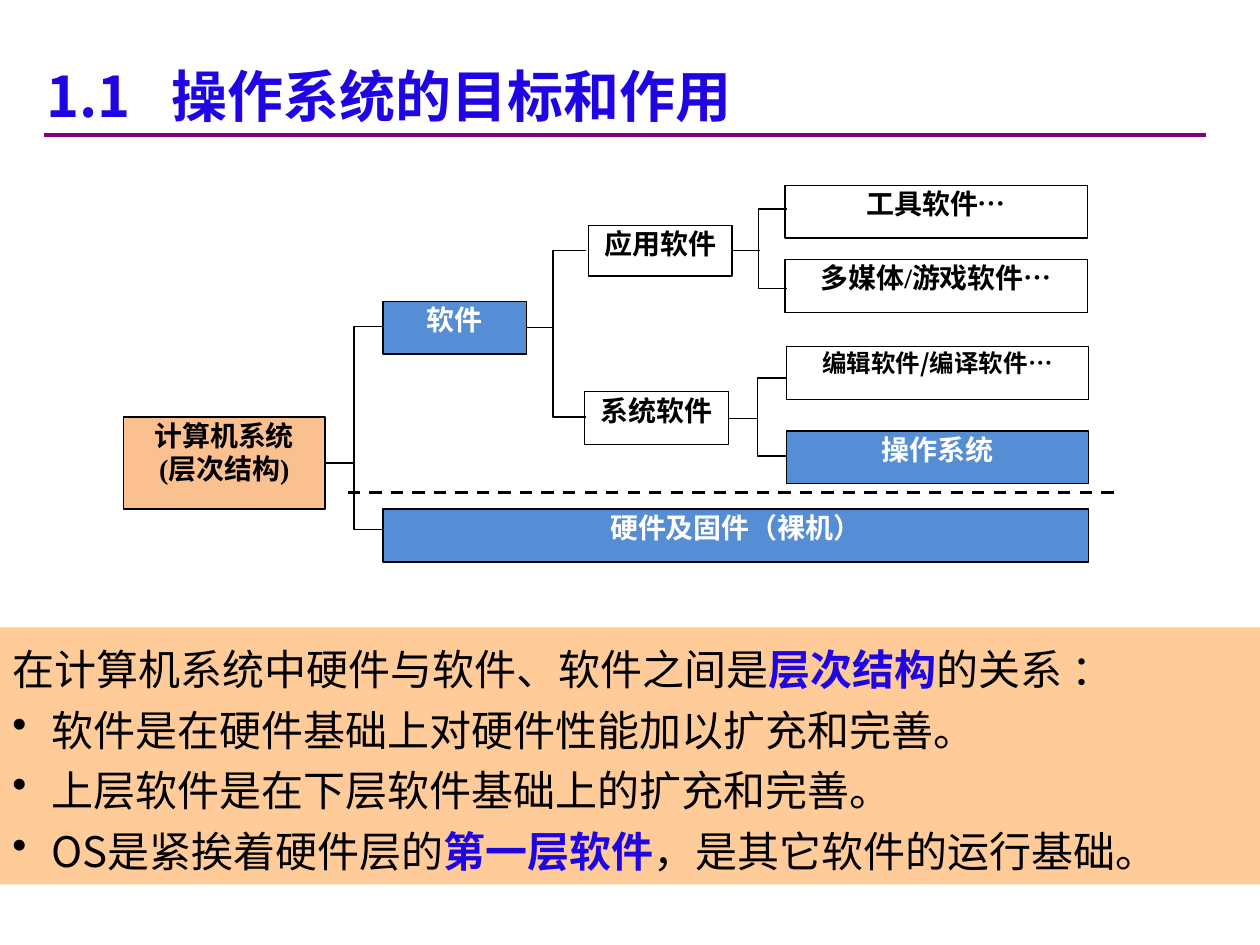
from pptx import Presentation
from pptx.dml.color import RGBColor
from pptx.enum.dml import MSO_LINE
from pptx.enum.shapes import MSO_CONNECTOR, MSO_SHAPE
from pptx.enum.text import MSO_ANCHOR, PP_ALIGN
from pptx.oxml.ns import qn
from pptx.util import Inches, Pt
from lxml import etree

RECTANGLE = MSO_SHAPE.RECTANGLE
STRAIGHT = MSO_CONNECTOR.STRAIGHT
DASH = MSO_LINE.DASH
TOP = MSO_ANCHOR.TOP
CENTER, LEFT, JUSTIFY = PP_ALIGN.CENTER, PP_ALIGN.LEFT, PP_ALIGN.JUSTIFY
RIGHT_SIDE = 3

SANS, SERIF = "Noto Sans CJK SC", "Times New Roman"
BLACK, WHITE, BLUE = "000000", "FFFFFF", "1F05E3"
STEEL, ORANGE, PEACH, PURPLE = "558ED5", "FAC090", "FFCC99", "800080"
COLUMNS, ROWS = 100, 75


def color(value):
    return RGBColor.from_string(value)


class Board:
    def __init__(self, deck):
        self.slide = deck.slides.add_slide(deck.slide_layouts[6])
        self.shapes = self.slide.shapes
        self.column = deck.slide_width / COLUMNS
        self.row = deck.slide_height / ROWS

    def place(self, left, top, width, height):
        return (round(left * self.column), round(top * self.row),
                round(width * self.column), round(height * self.row))

    def stroke(self, line, value=BLACK, width=0.75):
        line.color.rgb = color(value)
        line.width = Pt(width)

    def add_spans(self, para, spans, size, font):
        for text, value, bold in spans:
            span = para.add_run()
            span.text = text
            style = {"name": font, "size": Pt(size), "bold": bold}
            for name, setting in style.items():
                setattr(span.font, name, setting)
            span.font.color.rgb = color(value)

    def frame(self, shape, inset=None):
        frame = shape.text_frame
        settings = {"word_wrap": True, "vertical_anchor": TOP}
        if inset is not None:
            sides = ("left", "right", "top", "bottom")
            settings.update({f"margin_{side}": Inches(inset) for side in sides})
        for name, setting in settings.items():
            setattr(frame, name, setting)
        return frame

    def rectangle(self, area, fill):
        box = self.shapes.add_shape(RECTANGLE, *self.place(*area))
        box.shadow.inherit = False
        if fill:
            box.fill.solid()
            box.fill.fore_color.rgb = color(fill)
        else:
            box.fill.background()
        return box

    def node(self, area, lines, fill=None, ink=BLACK, size=16, font=SERIF):
        box = self.rectangle(area, fill)
        self.stroke(box.line)
        frame = self.frame(box, 0.01)
        for index, text in enumerate(lines):
            para = frame.add_paragraph() if index else frame.paragraphs[0]
            para.alignment = CENTER
            self.add_spans(para, [(text, ink, True)], size, font)
        return box

    def line(self, start, end, value=BLACK, width=0.75, dash=None):
        points = self.place(*start, *end)
        link = self.shapes.add_connector(STRAIGHT, *points)
        etree.SubElement(link._element.spPr, qn("a:effectLst"))
        self.stroke(link.line, value, width)
        if dash:
            link.line.dash_style = dash
        return link

    def fork(self, parent, stem, bracket):
        left, right, top, bottom = bracket
        middle = (parent.top + parent.height / 2) / self.row
        edge = (parent.left + parent.width) / self.column
        link = self.line((edge, middle), (stem, middle))
        link.begin_connect(parent, RIGHT_SIDE)
        corners = [(right, top), (left, top), (left, bottom), (right, bottom)]
        points = [(round(x * self.column), round(y * self.row)) for x, y in corners]
        builder = self.shapes.build_freeform(*points[0], scale=1.0)
        builder.add_line_segments(points[1:], close=False)
        shape = builder.convert_to_shape()
        shape.shadow.inherit = False
        shape.fill.background()
        self.stroke(shape.line)

    def panel(self, area, fill, items):
        box = self.rectangle(area, fill)
        box.line.fill.background()
        frame = self.frame(box)
        for index, (alignment, bullet, spans) in enumerate(items):
            para = frame.add_paragraph() if index else frame.paragraphs[0]
            para.alignment = alignment
            para.line_spacing = 1.2
            if bullet:
                props = para._p.get_or_add_pPr()
                props.set("marL", str(Inches(0.31)))
                props.set("indent", str(-Inches(0.31)))
                etree.SubElement(props, qn("a:buChar"), char="•")
            self.add_spans(para, spans, 24, SANS)

    def title(self, area, text, stop):
        box = self.shapes.add_textbox(*self.place(*area))
        para = self.frame(box).paragraphs[0]
        tabs = etree.SubElement(para._p.get_or_add_pPr(), qn("a:tabLst"))
        etree.SubElement(tabs, qn("a:tab"), pos=str(Inches(stop)), algn="l")
        self.add_spans(para, [(text, BLUE, True)], 32, SANS)


def main():
    deck = Presentation()
    deck.slide_width, deck.slide_height = Inches(10), Inches(7.5)
    board = Board(deck)

    system = board.node((9.8, 33.1, 16, 7.3), ["计算机系统", "(层次结构)"], ORANGE)
    software = board.node((30.4, 23.9, 11.4, 4.2), ["软件"], STEEL, WHITE)
    board.node((30.4, 40.4, 56, 4.2), ["硬件及固件（裸机）"], STEEL, WHITE)
    applications = board.node((46.7, 17.9, 11.4, 4), ["应用软件"])
    systems = board.node((46.4, 31.1, 11.4, 4.2), ["系统软件"])

    board.fork(system, 28.1, (28.1, 30.4, 25.9, 42))
    board.fork(software, 44, (43.9, 46.5, 19.9, 33.1))
    board.fork(applications, 60.3, (60.2, 62.5, 16.6, 22.9))
    board.fork(systems, 60.1, (60.1, 62.4, 30, 36.2))

    board.node((62.3, 14.7, 24, 4.2), ["工具软件…"])
    board.node((62.3, 20.6, 24, 4.2), ["多媒体/游戏软件…"])
    board.node((62.4, 27.5, 24, 4.2), ["编辑软件/编译软件…"], size=14, font=SANS)
    board.node((62.4, 34.2, 24, 4.2), ["操作系统"], STEEL, WHITE)
    board.line((27.6, 39.1), (88.6, 39.1), width=1.75, dash=DASH)

    board.panel((0, 49.8, 100, 20.4), PEACH, [
        (LEFT, False, [("在计算机系统中硬件与软件、软件之间是", BLACK, False),
                       ("层次结构", BLUE, True), ("的关系 ：", BLACK, False)]),
        (JUSTIFY, True, [("软件是在硬件基础上对硬件性能加以扩充和完善。", BLACK, False)]),
        (JUSTIFY, True, [("上层软件是在下层软件基础上的扩充和完善。", BLACK, False)]),
        (LEFT, True, [("OS是紧挨着硬件层的", BLACK, False), ("第一层软件", BLUE, True),
                      ("，是其它软件的运行基础。", BLACK, False)]),
    ])
    board.title((2.7, 4.4, 65.4, 4.8), "1.1\t操作系统的目标和作用", 0.99)
    board.line((3.5, 10.7), (95.7, 10.7), PURPLE, 2.25)
    deck.save("out.pptx")


if __name__ == "__main__":
    main()
